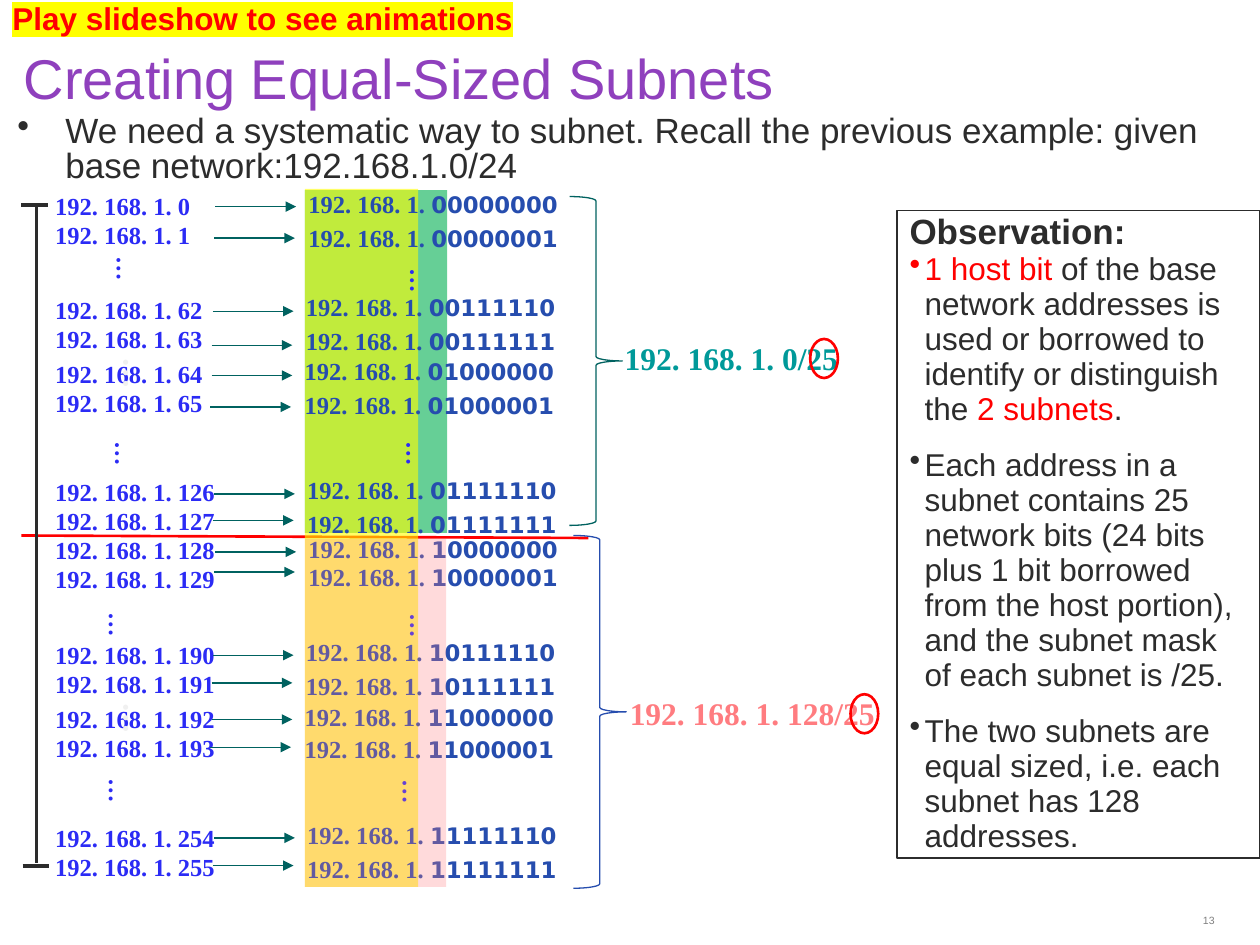
from pptx import Presentation
from pptx import util as u
from pptx.dml.color import RGBColor
from pptx.enum import shapes, text
from pptx.oxml import ns
from lxml import etree

Inches, Pt = u.Inches, u.Pt
PURPLE = RGBColor(0x8F, 0x40, 0xBD)
DARK = RGBColor(0x2C, 0x2C, 0x2C)
GRAY = RGBColor(0x80, 0x80, 0x80)
FAINT = RGBColor(0xF0, 0xF0, 0xF0)
RED = RGBColor(0xFF, 0x00, 0x00)
YELLOW = RGBColor(0xFF, 0xFF, 0x00)
GREEN = RGBColor(0x00, 0xB0, 0x50)
PINK = RGBColor(0xFF, 0x7C, 0x80)
TEAL = RGBColor(0x00, 0x99, 0x99)
DEEP_TEAL = RGBColor(0x00, 0x62, 0x60)
BLUE = RGBColor(0x26, 0x4D, 0xAE)
BRIGHT_BLUE = RGBColor(0x2B, 0x2B, 0xF5)
SANS, SERIF, DIGITS = "Arial", "Times New Roman", "DejaVu Sans"
PREFIX = "192. 168. 1. "

ADDRESS_PAIRS = [
    (0, 0.02, 0.04, (0, 0.27), (0.19, 0.44)),
    (62, 0.84, 0.02, (0.82, 1.09), (1.02, 1.29)),
    (64, 1.35, 0.01, (1.33, 1.6), (1.53, 1.78)),
    (126, 2.29, 0.03, (2.27, 2.54), (2.47, 2.68)),
    (128, 2.75, 0.04, (2.74, 2.96), (2.93, 3.09)),
    (190, 3.58, 0.02, (3.56, 3.83), (3.75, 3.97)),
    (192, 4.09, 0.01, (4.07, 4.33), (4.26, 4.48)),
    (254, 5.03, 0.03, (5.01, 5.28), (5.2, 5.42)),
]


def add_span(para, words, size, color, font=SANS, bold=False):
    span = para.add_run()
    span.text = words
    span.font.size = Pt(size)
    span.font.color.rgb = color
    span.font.name = font
    span.font.bold = bold
    return span


def add_box(page, left, top, width, height, turn=0):
    box = page.shapes.add_textbox(Inches(left), Inches(top), Inches(width), Inches(height))
    box.text_frame.word_wrap = True
    box.rotation = turn
    return box.text_frame


def add_label(page, box, words, size, color, font=SERIF, bold=True, turn=0):
    para = add_box(page, *box, turn).paragraphs[0]
    return add_span(para, words, size, color, font, bold)


def add_line(page, start, end, color, weight, arrow=False):
    line = page.shapes.add_connector(
        shapes.MSO_CONNECTOR.STRAIGHT, *[Inches(value) for value in (*start, *end)])
    line.line.color.rgb = color
    line.line.width = Pt(weight)
    properties = line.element.spPr
    if arrow:
        etree.SubElement(line.line._get_or_add_ln(), ns.qn("a:tailEnd"), type="triangle")
    etree.SubElement(properties, ns.qn("a:effectLst"))


def add_outline(page, kind, box, color, weight):
    shape = page.shapes.add_shape(kind, *[Inches(value) for value in box])
    shape.shadow.inherit = False
    shape.fill.background()
    shape.line.color.rgb = color
    shape.line.width = Pt(weight)
    return shape


def add_band(page, left, top, width, height, color, opacity):
    band = page.shapes.add_shape(
        shapes.MSO_SHAPE.RECTANGLE, Inches(left), Inches(top), Inches(width), Inches(height))
    band.shadow.inherit = False
    band.line.fill.background()
    band.fill.solid()
    band.fill.fore_color.rgb = color
    fill_color = band.element.spPr.find(ns.qn("a:solidFill"))[0]
    etree.SubElement(fill_color, ns.qn("a:alpha"), val=str(opacity * 1000))


def make_bullet(para, indent):
    properties = para._p.get_or_add_pPr()
    properties.set("marL", str(Inches(indent)))
    properties.set("indent", str(-Inches(indent)))
    etree.SubElement(properties, ns.qn("a:buChar"), char="•")


def add_dots(page, left, top, places):
    for across, down in places:
        add_label(page, (left + across, top + down, 0.46, 0.34), "…", 14, BRIGHT_BLUE, turn=90)


def add_title(page, left, top, width, height):
    frame = add_box(page, left, top, width, height)
    frame.vertical_anchor = text.MSO_ANCHOR.MIDDLE
    frame.paragraphs[0].line_spacing = 0.8
    add_span(frame.paragraphs[0], "Creating Equal-Sized Subnets", 32, PURPLE)


def add_introduction(page, left, top, width, height):
    para = add_box(page, left, top, width, height).paragraphs[0]
    make_bullet(para, 0.38)
    para.line_spacing = Pt(20)
    add_span(para, "We need a systematic way to subnet. Recall the previous example: "
             "given base network:192.168.1.0/24", 20, DARK)


def add_subnet(page, left, top, height, brace_color, host, color, label_at, ring_at):
    add_outline(page, shapes.MSO_SHAPE.RIGHT_BRACE, (left, top, 0.42, height), brace_color, 0.75)
    across, down = label_at
    add_label(page, (left + across, top + down, 2.74, 0.4), f"{PREFIX}{host}/25", 18, color)
    add_outline(page, shapes.MSO_SHAPE.OVAL,
                (left + ring_at, top + down + 0.05, 0.22, 0.31), RED, 1.5)


def add_decimal_column(page, left, top):
    add_line(page, (left + 0.12, top + 0.19), (left + 0.12, top + 5.4), DARK, 2.25)
    for across, down in ((0, 0.18), (0.01, 5.42)):
        add_line(page, (left + across, top + down), (left + across + 0.21, top + down), DARK, 2.25)
    for first, down, *_ in ADDRESS_PAIRS:
        for step in range(2):
            add_label(page, (left + 0.17, top + down + 0.23 * step, 2, 0.34),
                      f"{PREFIX}{first + step}", 14, BRIGHT_BLUE)
    for down in (1.63, 4.37):
        add_label(page, (left + 0.37, top + down, 1.08, 0.4), "…", 18, FAINT, turn=90)
    add_dots(page, left, top, [(0.6, 0.55), (0.59, 2.02), (0.54, 3.37), (0.54, 4.69)])


def add_binary_column(page, left, top):
    for first, _, across, label_tops, arrow_tops in ADDRESS_PAIRS:
        start = left + across
        for step, (label_top, arrow_top) in enumerate(zip(label_tops, arrow_tops)):
            para = add_box(page, start, top + label_top, 2.74, 0.34).paragraphs[0]
            add_span(para, PREFIX, 14, BLUE, SERIF, True)
            add_span(para, format(first + step, "08b"), 13, BLUE, DIGITS, True)
            tip = start - 0.01 * step
            add_line(page, (tip - 0.64, top + arrow_top), (tip, top + arrow_top),
                     DEEP_TEAL, 0.75, arrow=True)
    add_dots(page, left, top, [(0.79, 0.64), (0.76, 2.02), (0.79, 3.38), (0.73, 4.7)])


def add_observation(page, left, top, width, height):
    panel = add_outline(page, shapes.MSO_SHAPE.RECTANGLE, (left, top, width, height), DARK, 0.75)
    frame = panel.text_frame
    frame.word_wrap = True
    frame.vertical_anchor = text.MSO_ANCHOR.TOP
    heading = frame.paragraphs[0]
    heading.alignment = text.PP_ALIGN.LEFT
    heading.line_spacing = Pt(20)
    add_span(heading, "Observation:", 20, DARK, bold=True)
    points = [
        [("1 host bit ", RED),
         ("of the base network addresses is used or borrowed to identify or distinguish the ", DARK),
         ("2 subnets", RED), (".", DARK)],
        [("Each address in a subnet contains 25 network bits (24 bits plus 1 bit borrowed "
          "from the host portion), and the subnet mask of each subnet is /25.", DARK)],
        [("The two subnets are equal sized, i.e. each subnet has 128 addresses.", DARK)],
    ]
    for point in points:
        para = frame.add_paragraph()
        make_bullet(para, 0.12)
        para.alignment = text.PP_ALIGN.LEFT
        para.line_spacing = Pt(20)
        para.space_after = Pt(12)
        for words, color in point:
            add_span(para, words, 18, color)


def add_banner(page, left, top, width, height):
    span = add_label(page, (left, top, width, height),
                     "Play slideshow to see animations", 18, RED, SANS)
    highlight = etree.Element(ns.qn("a:highlight"))
    etree.SubElement(highlight, ns.qn("a:srgbClr"), val=str(YELLOW))
    span._r.rPr.find(ns.qn("a:solidFill")).addnext(highlight)


def add_page_number(page, left, top, width, height):
    frame = add_box(page, left, top, width, height)
    frame.word_wrap = False
    frame.vertical_anchor = text.MSO_ANCHOR.BOTTOM
    frame.margin_left = frame.margin_right = Inches(0.09)
    frame.margin_top = frame.margin_bottom = Inches(0.04)
    frame.paragraphs[0].alignment = text.PP_ALIGN.RIGHT
    add_span(frame.paragraphs[0], "13", 6, GRAY)


def main():
    deck = Presentation()
    deck.slide_width, deck.slide_height = Inches(10), Inches(7.5)
    page = deck.slides.add_slide(deck.slide_layouts[6])
    add_page_number(page, 9.45, 7.2, 0.28, 0.19)
    add_title(page, 0.09, 0.12, 9.26, 1.08)
    add_line(page, (0.17, 4.25), (4.67, 4.27), RED, 1.5)
    add_subnet(page, 4.52, 1.56, 2.61, DEEP_TEAL, 0, TEAL, (0.34, 1.08), 1.91)
    add_subnet(page, 4.55, 4.25, 2.8, BLUE, 128, PINK, (0.35, 1.21), 2.2)
    add_introduction(page, 0.04, 0.87, 9.88, 0.5)
    add_band(page, 2.42, 1.51, 1.13, 2.72, GREEN, 60)
    add_decimal_column(page, 0.17, 1.45)
    add_band(page, 2.42, 1.5, 0.9, 5.54, YELLOW, 60)
    add_binary_column(page, 2.31, 1.45)
    add_band(page, 2.42, 4.28, 1.12, 2.76, PINK, 28)
    add_observation(page, 7.12, 1.67, 2.88, 5.14)
    add_banner(page, 0, -0.06, 6.3, 0.4)
    deck.save("out.pptx")


if __name__ == "__main__":
    main()
